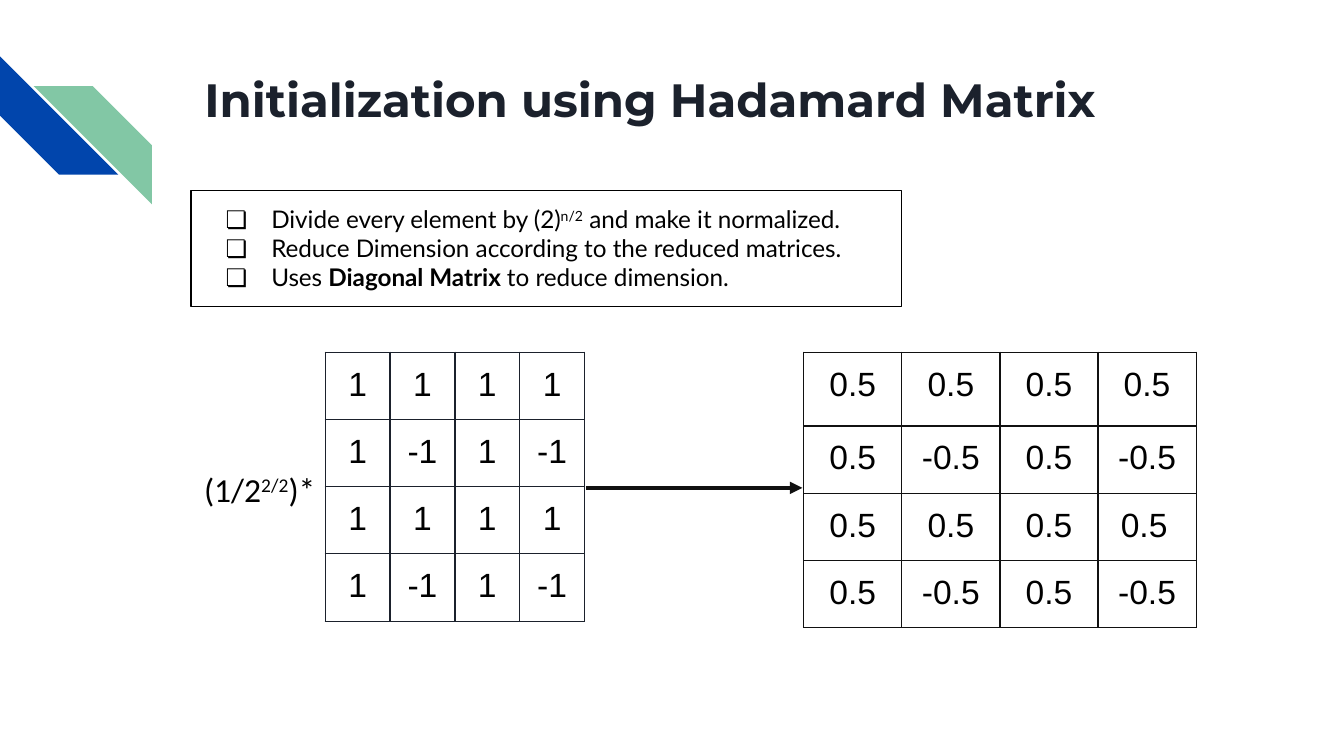
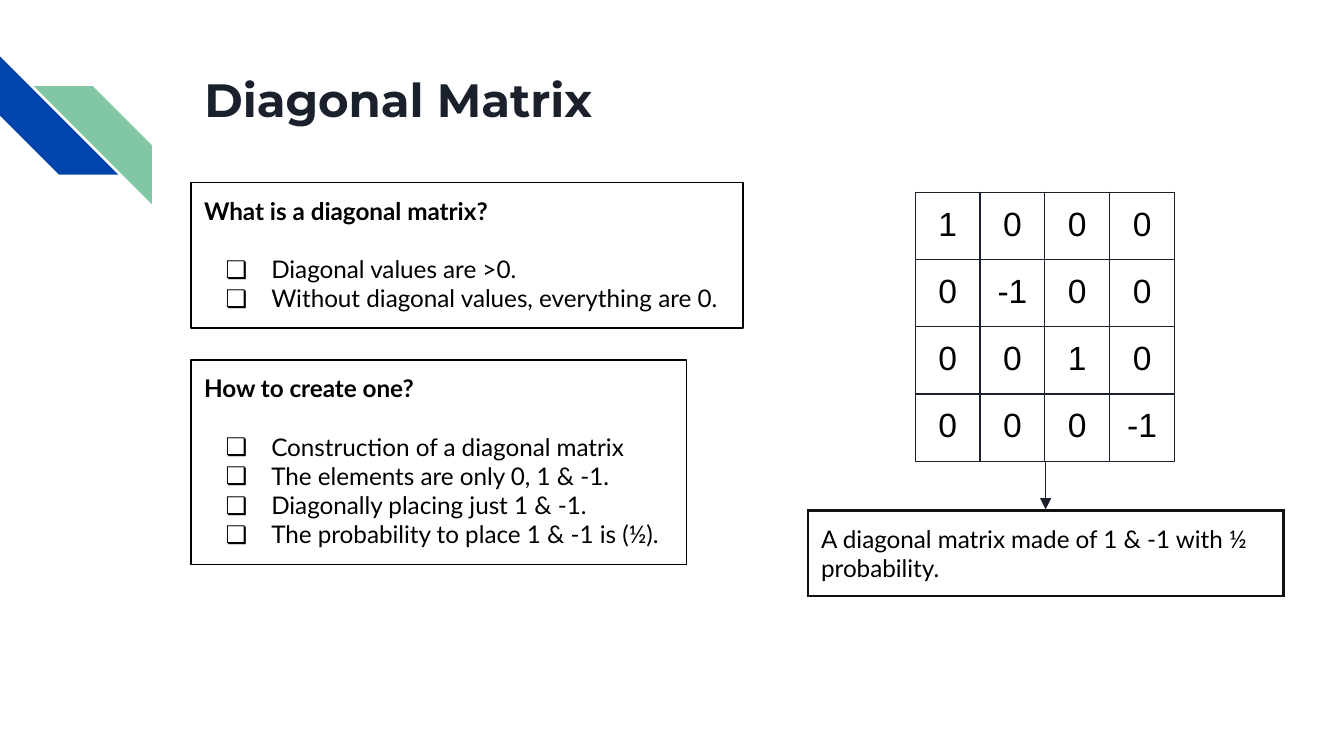
from lxml import etree
from pptx import Presentation
from pptx.dml.color import RGBColor
from pptx.enum.shapes import MSO_CONNECTOR, MSO_SHAPE
from pptx.enum.text import MSO_ANCHOR, MSO_AUTO_SIZE, PP_ALIGN
from pptx.oxml.ns import qn
from pptx.util import Inches, Pt

BLUE = RGBColor(0x01, 0x45, 0xAC)
GREEN = RGBColor(0x82, 0xC7, 0xA5)
NAVY = RGBColor(0x1B, 0x21, 0x2C)
CHARCOAL = RGBColor(0x11, 0x11, 0x11)
BLACK = RGBColor(0x00, 0x00, 0x00)
MARGIN = Inches(0.1)
LEFT_EDGE = 1.42


def write(frame, lines, font="Lato", size=13, color=BLACK, bold=False,
          align=PP_ALIGN.LEFT, bullet=None, heading=None):
    """Fill a frame; a line is a string or a list of (text, style) runs."""
    frame.word_wrap = True
    frame.vertical_anchor = MSO_ANCHOR.TOP
    frame.margin_left = frame.margin_right = MARGIN
    frame.margin_top = frame.margin_bottom = MARGIN
    if heading:
        lines = [[(heading, "bold")], *lines]
    for index, line in enumerate(lines):
        paragraph = frame.add_paragraph() if index else frame.paragraphs[0]
        paragraph.alignment = align
        for text, style in [(line, "")] if isinstance(line, str) else line:
            run = paragraph.add_run()
            run.text = text
            run.font.name, run.font.size = font, Pt(size)
            run.font.color.rgb = color
            run.font.bold = bold or style == "bold"
            if style == "super":
                run.font._element.set("baseline", "30000")
        if heading and index == 0:
            paragraph.space_after = Pt(size * 1.2)
        elif bullet:
            properties = paragraph._p.get_or_add_pPr()
            properties.set("marL", str(Inches(0.5)))
            properties.set("indent", str(Inches(-0.34)))
            bullet_color = etree.SubElement(properties, qn("a:buClr"))
            etree.SubElement(bullet_color, qn("a:srgbClr"), val=str(BLACK))
            etree.SubElement(properties, qn("a:buFont"), typeface=font)
            etree.SubElement(properties, qn("a:buChar"), char=bullet)


def add_grid(slide, left, top, width, values, row_heights,
             border=NAVY, border_width=0.75, **text_format):
    """Add an unfilled table with equal columns and every cell bordered."""
    columns = len(values[0])
    table = slide.shapes.add_table(
        len(values), columns, Inches(left), Inches(top),
        Inches(width), Inches(sum(row_heights))).table
    table.first_row = table.horz_banding = False
    for row, height, row_values in zip(table.rows, row_heights, values):
        row.height = Inches(height)
        for cell, value in zip(row.cells, row_values):
            cell.margin_left = cell.margin_right = MARGIN
            cell.margin_top = cell.margin_bottom = MARGIN
            write(cell.text_frame, [value], **text_format)
            properties = cell._tc.get_or_add_tcPr()
            for side in ("a:lnL", "a:lnR", "a:lnT", "a:lnB"):
                line = etree.SubElement(properties, qn(side), w=str(Pt(border_width)))
                fill = etree.SubElement(line, qn("a:solidFill"))
                etree.SubElement(fill, qn("a:srgbClr"), val=str(border))
            cell.fill.background()
    return table


presentation = Presentation()
presentation.slide_width = Inches(10)
presentation.slide_height = presentation.slide_width * 9 // 16
layout = presentation.slide_layouts[5]

# Titles
slides = []
for title_text in ("Initialization using Hadamard Matrix", "Diagonal Matrix"):
    slide = presentation.slides.add_slide(layout)
    title = slide.shapes.title
    title.left, title.top = Inches(LEFT_EDGE), Inches(0.43)
    title.width, title.height = Inches(7.7), Inches(1)
    title.text_frame.auto_size = MSO_AUTO_SIZE.NONE
    write(title.text_frame, [title_text], font="Montserrat", size=25,
          color=NAVY, bold=True)
    slides.append(slide)
hadamard_slide, diagonal_slide = slides

# Corner stripes, moved to the shared layout
for shape_id, left, top, color, attribute, value in (
        (21, 0, 0.42, BLUE, "rot", "16200000"),
        (22, 0.25, 0.64, GREEN, "flipH", "1")):
    stripe = hadamard_slide.shapes.add_shape(
        MSO_SHAPE.DIAGONAL_STRIPE, Inches(left), Inches(top), Inches(0.88), Inches(0.88))
    stripe.adjustments[0] = 0.5
    stripe.shadow.inherit = False
    stripe.fill.solid()
    stripe.fill.fore_color.rgb = color
    stripe.line.fill.background()
    stripe.element.spPr.find(qn("a:xfrm")).set(attribute, value)
    stripe.element.nvSpPr.cNvPr.set("id", str(shape_id))
    layout.shapes.element.append(stripe.element)

# Bulleted boxes
for slide, top, width, height, heading, lines in (
        (hadamard_slide, 1.42, 5.29, 0.86, None, [
            [("Divide every element by (2)", ""), ("n/2", "super"),
             (" and make it normalized.", "")],
            "Reduce Dimension according to the reduced matrices.",
            [("Uses ", ""), ("Diagonal Matrix", "bold"), (" to reduce dimension.", "")]]),
        (diagonal_slide, 1.36, 4.11, 1.08, "What is a diagonal matrix?", [
            "Diagonal values are >0.",
            "Without diagonal values, everything are 0."]),
        (diagonal_slide, 2.68, 3.69, 1.52, "How to create one?", [
            "Construction of a diagonal matrix",
            "The elements are only 0, 1 & -1.",
            "Diagonally placing just 1 & -1.",
            "The probability to place 1 & -1 is (½)."])):
    box = slide.shapes.add_shape(MSO_SHAPE.RECTANGLE, Inches(LEFT_EDGE), Inches(top),
                                 Inches(width), Inches(height))
    box.shadow.inherit = False
    box.fill.background()
    box.line.color.rgb = BLACK
    box.line.width = Pt(0.75)
    box.text_frame.auto_size = MSO_AUTO_SIZE.SHAPE_TO_FIT_TEXT
    write(box.text_frame, lines, bullet="❏", heading=heading)

# Matrices
number_format = dict(font="Arial", size=18, align=PP_ALIGN.CENTER)
even_rows = [0.5] * 4
hadamard = [["1", "1", "1", "1"], ["1", "-1", "1", "-1"]] * 2
normalized = [[value.replace("1", "0.5") for value in row] for row in hadamard]
normalized[2][3] = " 0.5"
diagonal = [["0"] * 4 for _ in range(4)]
for index, value in enumerate(("1", "-1", "1", "-1")):
    diagonal[index][index] = value

add_grid(hadamard_slide, 2.42, 2.62, 1.93, hadamard, even_rows, **number_format)
normalized_table = add_grid(hadamard_slide, 5.98, 2.62, 2.92, normalized,
                            [0.55, 0.5, 0.5, 0.5], border=CHARCOAL, **number_format)
normalized_table.cell(2, 3).text_frame.paragraphs[0].alignment = PP_ALIGN.LEFT
add_grid(diagonal_slide, 6.81, 1.43, 1.93, diagonal, even_rows, **number_format)
add_grid(diagonal_slide, 6.01, 3.8, 3.54,
         [["A diagonal matrix made of 1 & -1 with ½ probability."]],
         [0.63], border=CHARCOAL, border_width=1.5)

# Scale factor
factor = hadamard_slide.shapes.add_textbox(
    Inches(LEFT_EDGE), Inches(3.39), Inches(1.07), Inches(0.5))
factor.text_frame.auto_size = MSO_AUTO_SIZE.SHAPE_TO_FIT_TEXT
write(factor.text_frame, [[("(1/2", ""), ("2/2", "super"), (")*", "")]],
      font="Calibri", size=18)

# Arrows
for slide, start, end, color, width in (
        (hadamard_slide, (4.36, 3.63), (5.97, 3.63), CHARCOAL, 2.25),
        (diagonal_slide, (7.78, 3.43), (7.78, 3.79), NAVY, 0.75)):
    arrow = slide.shapes.add_connector(
        MSO_CONNECTOR.STRAIGHT, *(Inches(length) for length in start + end))
    arrow.line.color.rgb = color
    arrow.line.width = Pt(width)
    etree.SubElement(arrow.line._get_or_add_ln(), qn("a:tailEnd"), type="triangle")
    etree.SubElement(arrow.element.spPr, qn("a:effectLst"))

presentation.save("out.pptx")
